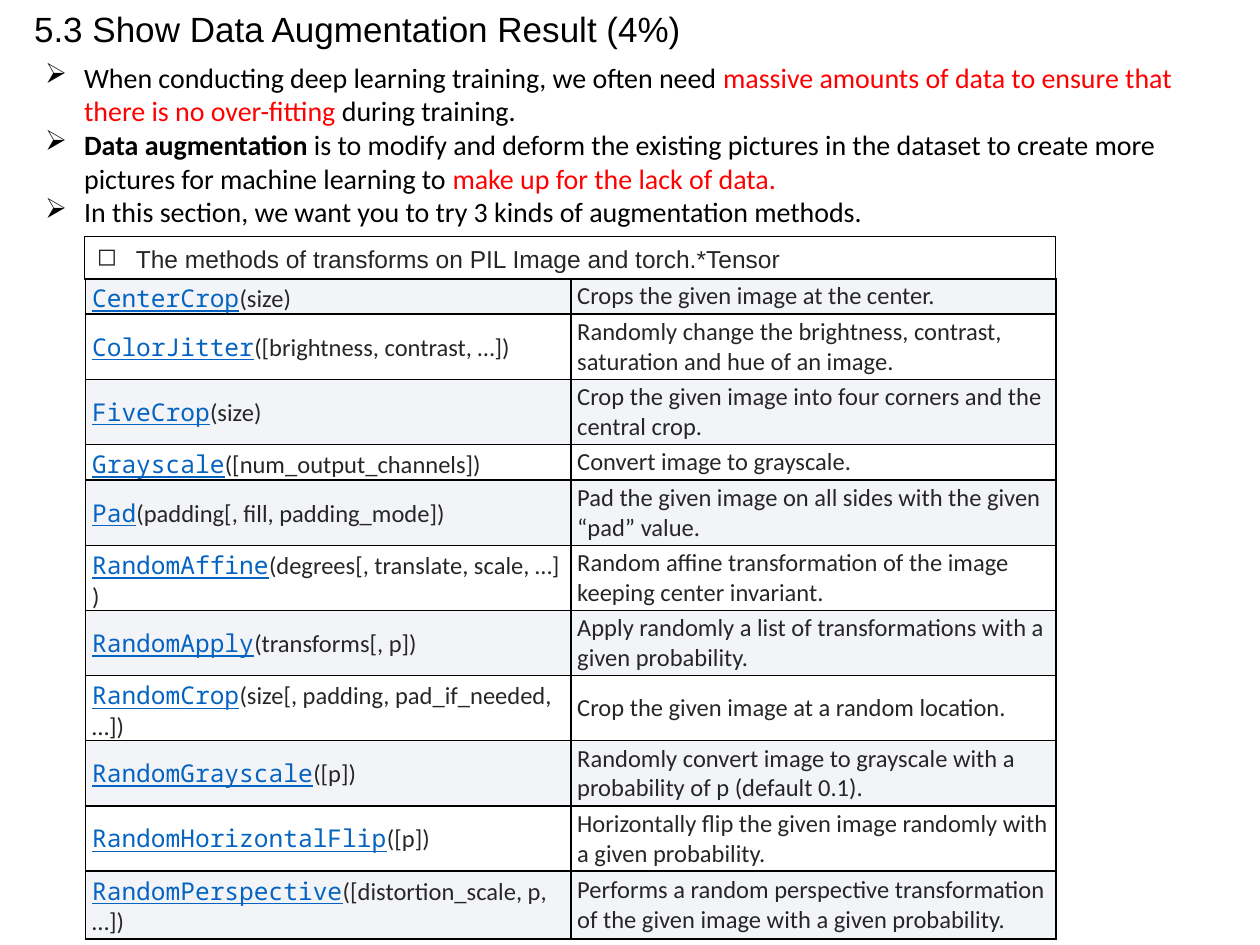
from lxml import etree
from pptx import Presentation
from pptx import util as u
from pptx.dml.color import RGBColor
from pptx.enum import shapes, text
from pptx.oxml.ns import qn

COLORS = {"black": "000000", "red": "FF0000", "dark": "262626",
          "link": "0563C1", "band": "F3F4F7"}

TITLE = {"size": u.Pt(20), "name": "Arial", "color": "black"}
BODY = {"size": u.Pt(16), "name": "Calibri", "color": "black"}
RED = BODY | {"color": "red"}
BOLD = BODY | {"bold": True}
CAPTION = {"size": u.Pt(14), "name": "Arial", "color": "dark"}
CELL = CAPTION | {"name": "Calibri"}
LINK = {"size": u.Pt(14), "name": "Noto Sans Mono", "color": "link", "underline": True}

POINTS = [
    [("When conducting deep learning training, we often need ", BODY),
     ("massive amounts of data to ensure that there is no over-fitting ", RED),
     ("during training.", BODY)],
    [("Data augmentation ", BOLD),
     ("is to modify and deform the existing pictures in the dataset to create more "
      "pictures for machine learning to ", BODY),
     ("make up for the lack of data.", RED)],
    [("In this section, we want you to try 3 kinds of augmentation methods.", BODY)],
]

SHORT, TALL, LAST = 0.22, 0.38, 0.54  # least row heights in inches
METHODS = [
    (SHORT, "CenterCrop", "(size)", "Crops the given image at the center."),
    (TALL, "ColorJitter", "([brightness, contrast, …])",
     "Randomly change the brightness, contrast, saturation and hue of an image."),
    (TALL, "FiveCrop", "(size)",
     "Crop the given image into four corners and the central crop."),
    (SHORT, "Grayscale", "([num_output_channels])", "Convert image to grayscale."),
    (TALL, "Pad", "(padding[, fill, padding_mode])",
     "Pad the given image on all sides with the given “pad” value."),
    (TALL, "RandomAffine", "(degrees[, translate, scale, …])",
     "Random affine transformation of the image keeping center invariant."),
    (TALL, "RandomApply", "(transforms[, p])",
     "Apply randomly a list of transformations with a given probability."),
    (TALL, "RandomCrop", "(size[, padding, pad_if_needed, …])",
     "Crop the given image at a random location."),
    (TALL, "RandomGrayscale", "([p])",
     "Randomly convert image to grayscale with a probability of p (default 0.1)."),
    (TALL, "RandomHorizontalFlip", "([p])",
     "Horizontally flip the given image randomly with a given probability."),
    (LAST, "RandomPerspective", "([distortion_scale, p, …])",
     "Performs a random perspective transformation of the given image "
     "with a given probability."),
]


def inches(*values):
    return [u.Inches(v) for v in values]


def rgb(name):
    return RGBColor.from_string(COLORS[name])


def add_runs(p, runs):
    for content, style in runs:
        r = p.add_run()
        r.text = content
        for key, value in style.items():
            if key == "color":
                r.font.color.rgb = rgb(value)
            else:
                setattr(r.font, key, value)


def set_indent(p, left, first=0):
    pPr = p._p.get_or_add_pPr()
    pPr.set("marL", str(u.Inches(left)))
    pPr.set("indent", str(u.Inches(first)))
    return pPr


def add_bullets(tf, char, items):
    tf.word_wrap = True
    tf.auto_size = text.MSO_AUTO_SIZE.SHAPE_TO_FIT_TEXT
    for i, runs in enumerate(items):
        p = tf.add_paragraph() if i else tf.paragraphs[0]
        p.alignment = text.PP_ALIGN.LEFT
        pPr = set_indent(p, 0.31, -0.31)
        etree.SubElement(pPr, qn("a:buChar"), char=char)
        add_runs(p, runs)


def add_title(slide):
    sp = slide.shapes.title
    sp.left, sp.top, sp.width, sp.height = inches(-0.05, 0.01, 5.81, 0.44)
    tf = sp.text_frame
    tf.auto_size = text.MSO_AUTO_SIZE.SHAPE_TO_FIT_TEXT
    tf.vertical_anchor = text.MSO_ANCHOR.TOP
    p = tf.paragraphs[0]
    p.alignment = text.PP_ALIGN.LEFT
    set_indent(p, 0.22)
    add_runs(p, [("5.3 Show Data Augmentation Result (4%)", TITLE)])


def set_borders(cell):
    """Draw a 1 pt black line on all four sides; call before filling the cell."""
    tcPr = cell._tc.get_or_add_tcPr()
    for side in ("a:lnL", "a:lnR", "a:lnT", "a:lnB"):
        ln = etree.SubElement(tcPr, qn(side), w=str(u.Pt(1)))
        fill = etree.SubElement(ln, qn("a:solidFill"))
        etree.SubElement(fill, qn("a:srgbClr"), val=COLORS["black"])


def fill_cell(cell, runs, banded):
    set_borders(cell)
    if banded:
        cell.fill.solid()
        cell.fill.fore_color.rgb = rgb("band")
    else:
        cell.fill.background()
    cell.vertical_anchor = text.MSO_ANCHOR.MIDDLE
    cell.margin_left = cell.margin_right = u.Pt(3.7)
    cell.margin_top = cell.margin_bottom = u.Pt(1.8)
    add_runs(cell.text_frame.paragraphs[0], runs)


def add_methods_table(slide):
    frame = slide.shapes.add_table(len(METHODS), 2, *inches(0.68, 2.21, 7.7, 5.28))
    table = frame.table
    table.first_row = table.horz_banding = False
    for i, (height, name, args, description) in enumerate(METHODS):
        table.rows[i].height = u.Inches(height)
        signature = [(name, LINK), (args.replace(" ", chr(160)), CELL)]
        for j, runs in enumerate((signature, [(description, CELL)])):
            fill_cell(table.cell(i, j), runs, banded=i % 2 == 0)
    frame.height = u.Inches(5.28)


def add_caption(slide):
    sp = slide.shapes.add_shape(shapes.MSO_SHAPE.RECTANGLE,
                                *inches(0.67, 1.88, 7.71, 0.34))
    sp.shadow.inherit = False
    sp.fill.background()
    sp.line.color.rgb = rgb("black")
    sp.line.width = u.Pt(0.75)
    caption = "The methods of transforms on PIL Image and torch.*Tensor"
    add_bullets(sp.text_frame, "◻", [[(caption, CAPTION)]])


def add_points(slide):
    sp = slide.shapes.add_textbox(*inches(0.26, 0.43, 9.48, 1.45))
    add_bullets(sp.text_frame, "➢", POINTS)


def main():
    prs = Presentation()
    prs.slide_width, prs.slide_height = inches(10, 7.5)
    slide = prs.slides.add_slide(prs.slide_layouts[5])
    add_title(slide)
    add_methods_table(slide)
    add_caption(slide)
    add_points(slide)
    prs.save("out.pptx")


if __name__ == "__main__":
    main()
